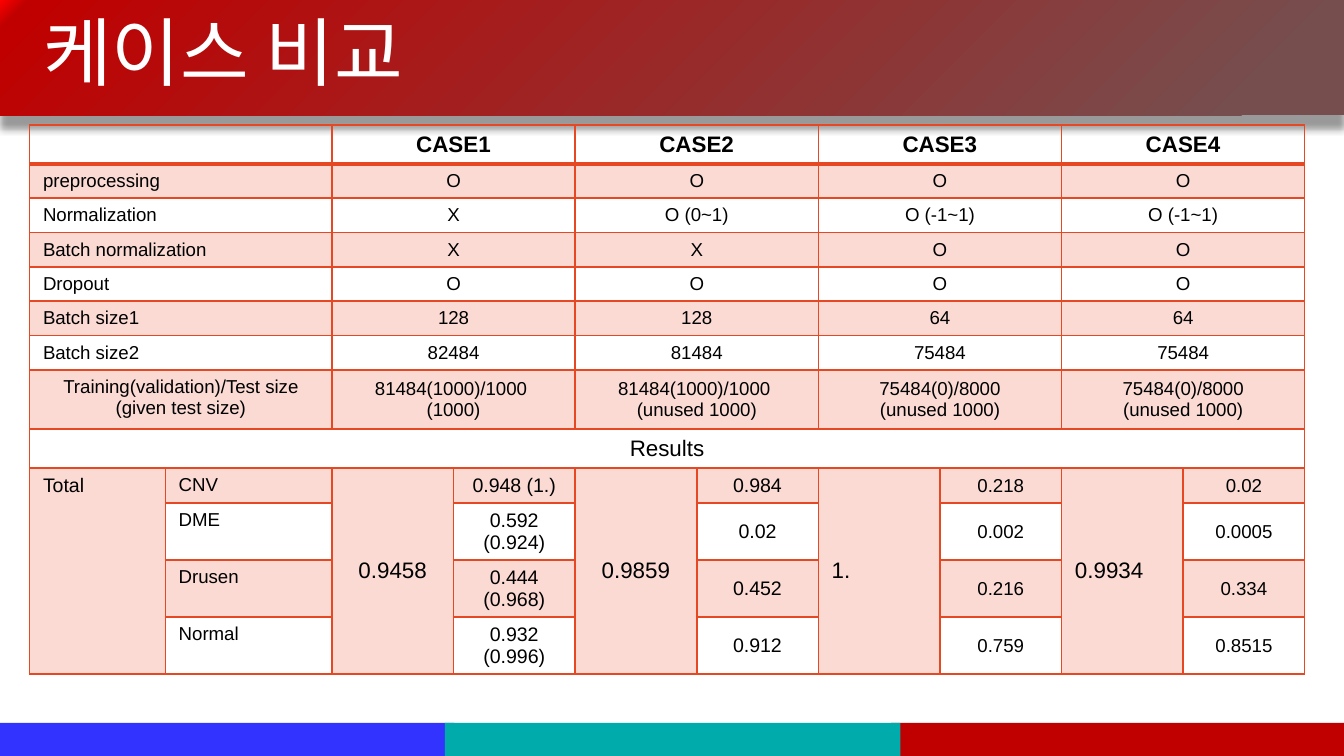
from dataclasses import dataclass
from pptx import Presentation
from pptx.dml.color import RGBColor as RGB
from pptx.enum.shapes import MSO_SHAPE as Geom
from pptx.enum.text import MSO_ANCHOR as Anchor, MSO_AUTO_SIZE as Fit, PP_ALIGN as Align
from pptx.oxml import parse_xml
from pptx.oxml.ns import qn
from pptx.util import Inches, Pt

NS = 'xmlns:a="http://schemas.openxmlformats.org/drawingml/2006/main"'


@dataclass(frozen=True)
class Theme:
    white: str = "FFFFFF"
    black: str = "000000"
    red: str = "C00000"
    blue: str = "3333FF"
    teal: str = "00ABAC"
    glow: str = "FF0000"
    dusk: str = "764E4E"
    rule: str = "E64823"
    head: str = "Quicksand"
    body: str = "Arial"
    title: float = 40
    large: float = 12
    mid: float = 10.5
    small: float = 10


T = Theme()

CASES = ["CASE1", "CASE2", "CASE3", "CASE4"]
SETUP = [
    ("preprocessing", "O", "O", "O", "O"),
    ("Normalization", "X", "O (0~1)", "O (-1~1)", "O (-1~1)"),
    ("Batch normalization", "X", "X", "O", "O"),
    ("Dropout", "O", "O", "O", "O"),
    ("Batch size1", "128", "128", "64", "64"),
    ("Batch size2", "82484", "81484", "75484", "75484"),
    ("Training(validation)/Test size\n(given test size)",
     "81484(1000)/1000 \n(1000)", "81484(1000)/1000 \n(unused 1000)",
     "75484(0)/8000\n(unused 1000)", "75484(0)/8000\n(unused 1000)"),
]
TOTALS = ["0.9458", "0.9859", "1.", "0.9934"]
SCORES = [
    ("CNV", "0.948 (1.)", "0.984", "0.218", "0.02"),
    ("DME", "0.592\n(0.924)", "0.02", "0.002", "0.0005"),
    ("Drusen", "0.444\n(0.968)", "0.452", "0.216", "0.334"),
    ("Normal", "0.932\n(0.996)", "0.912", "0.759", "0.8515"),
]
WIDTHS = [1.01, 1.24] + [0.905] * 8
HEIGHTS = [0.29] + [0.24] * 6 + [0.44, 0.29, 0.25] + [0.41] * 3
RESULT = len(SETUP) + 1
FIRST = RESULT + 1


def style(frame, size, color, font, align, bold=False):
    for para in frame.paragraphs:
        para.alignment = align
        for run in para.runs:
            run.font.size = Pt(size)
            run.font.name = font
            run.font.bold = bold
            run.font.color.rgb = RGB.from_string(color)


def add_bar(slide, left, top, width, height, color):
    bar = slide.shapes.add_shape(Geom.RECTANGLE, Inches(left), Inches(top),
                                 Inches(width), Inches(height))
    bar.shadow.inherit = False
    bar.fill.solid()
    bar.fill.fore_color.rgb = RGB.from_string(color)
    bar.line.fill.background()
    return bar


def add_banner(slide):
    props = add_bar(slide, 0, 0, 10, 0.86, T.red).element.spPr
    stops = [(0, T.glow), (2, T.red), (93, T.dusk), (100, T.dusk)]
    marks = "".join(f'<a:gs pos="{pos * 1000}"><a:srgbClr val="{color}"/></a:gs>'
                    for pos, color in stops)
    grad = parse_xml(f'<a:gradFill {NS} rotWithShape="1"><a:gsLst>{marks}</a:gsLst>'
                     '<a:path path="circle"><a:fillToRect r="100000" b="100000"/>'
                     '</a:path></a:gradFill>')
    props.replace(props.find(qn("a:solidFill")), grad)
    props.find(qn("a:effectLst")).append(parse_xml(
        f'<a:outerShdw {NS} blurRad="{Pt(4)}" dist="{Pt(7)}" dir="5400000" '
        f'algn="t" rotWithShape="0"><a:srgbClr val="{T.black}">'
        '<a:alpha val="40000"/></a:srgbClr></a:outerShdw>'))


def set_title(slide, text):
    title = slide.shapes.title
    title.left, title.top = Inches(0.22), Inches(0.02)
    title.width, title.height = Inches(9.6), Inches(0.8)
    frame = title.text_frame
    frame.text = text
    frame.auto_size = Fit.NONE
    frame.vertical_anchor = Anchor.MIDDLE
    frame.paragraphs[0].line_spacing = 0.9
    style(frame, T.title, T.white, T.head, Align.LEFT)
    # Bring the title in front of the banner
    slide.shapes.element.append(title.element)


def set_cell(cell, text, size, align=Align.CENTER, anchor=Anchor.MIDDLE, bold=False):
    cell.text_frame.text = text
    cell.vertical_anchor = anchor
    style(cell.text_frame, size, T.black, T.body, align, bold)


def dress(cell, row):
    props = cell._tc.get_or_add_tcPr()
    for side in "LRTB":
        thick = (row, side) in [(0, "B"), (1, "T")]
        props.append(parse_xml(
            f'<a:ln{side} {NS} w="{Pt(2 if thick else 1)}"><a:solidFill>'
            f'<a:srgbClr val="{T.rule}"/></a:solidFill></a:ln{side}>'))
    # Tint the odd rows
    if row % 2:
        cell.fill.solid()
        cell.fill.fore_color.rgb = RGB.from_string(T.rule)
        props.find(f'{qn("a:solidFill")}/{qn("a:srgbClr")}').append(
            parse_xml(f'<a:alpha {NS} val="20000"/>'))
    else:
        cell.fill.background()
    # Keep empty cells from stretching their row
    end = cell.text_frame.paragraphs[0]._p.get_or_add_endParaRPr()
    end.set("sz", str(T.small * 100))


def fill_setup(grid):
    rows = [("", *CASES), *SETUP]
    for row, texts in enumerate(rows):
        for pair, text in enumerate(texts):
            cell = grid.cell(row, 2 * pair)
            cell.merge(grid.cell(row, 2 * pair + 1))
            if not text:
                continue
            if row == 0:
                set_cell(cell, text, T.large, bold=True)
            elif pair == 0:
                align = Align.CENTER if "\n" in text else Align.LEFT
                set_cell(cell, text, T.small, align, Anchor.TOP)
            else:
                set_cell(cell, text, T.small)


def fill_scores(grid):
    band = grid.cell(RESULT, 0)
    band.merge(grid.cell(RESULT, len(WIDTHS) - 1))
    set_cell(band, "Results", T.large, anchor=Anchor.TOP)

    # Tall cells with the overall figures
    last = len(HEIGHTS) - 1
    for pair, text in enumerate(["Total", *TOTALS]):
        cell = grid.cell(FIRST, 2 * pair)
        cell.merge(grid.cell(last, 2 * pair))
        if pair == 0:
            set_cell(cell, text, T.mid, Align.LEFT, Anchor.TOP)
        else:
            set_cell(cell, text, T.large, Align.CENTER if pair < 3 else Align.LEFT)

    # Figures by class
    for row, (name, *texts) in enumerate(SCORES, FIRST):
        set_cell(grid.cell(row, 1), name, T.small, Align.LEFT, Anchor.TOP)
        for case, text in enumerate(texts):
            size = T.mid if case < 2 else T.small
            set_cell(grid.cell(row, 2 * case + 3), text, size)


def add_grid(slide):
    grid = slide.shapes.add_table(len(HEIGHTS), len(WIDTHS), Inches(0.22), Inches(0.93),
                                  Inches(sum(WIDTHS)), Inches(sum(HEIGHTS))).table
    grid.first_row = grid.horz_banding = False
    for col, width in zip(grid.columns, WIDTHS):
        col.width = Inches(width)
    for row, height in enumerate(HEIGHTS):
        grid.rows[row].height = Inches(height)
        for col in range(len(WIDTHS)):
            dress(grid.cell(row, col), row)
    fill_setup(grid)
    fill_scores(grid)


def main():
    deck = Presentation()
    deck.slide_width = Inches(10)
    deck.slide_height = deck.slide_width * 9 // 16
    slide = deck.slides.add_slide(deck.slide_layouts[5])

    # Footer stripes, with teal in front
    for slot, color in [(2, T.red), (0, T.blue), (1, T.teal)]:
        add_bar(slide, -0.01 + 3.32 * slot, 5.38, 3.39, 0.26, color)

    # Header
    add_banner(slide)
    set_title(slide, "케이스 비교")

    # Case table
    add_grid(slide)
    deck.save("out.pptx")


if __name__ == "__main__":
    main()
